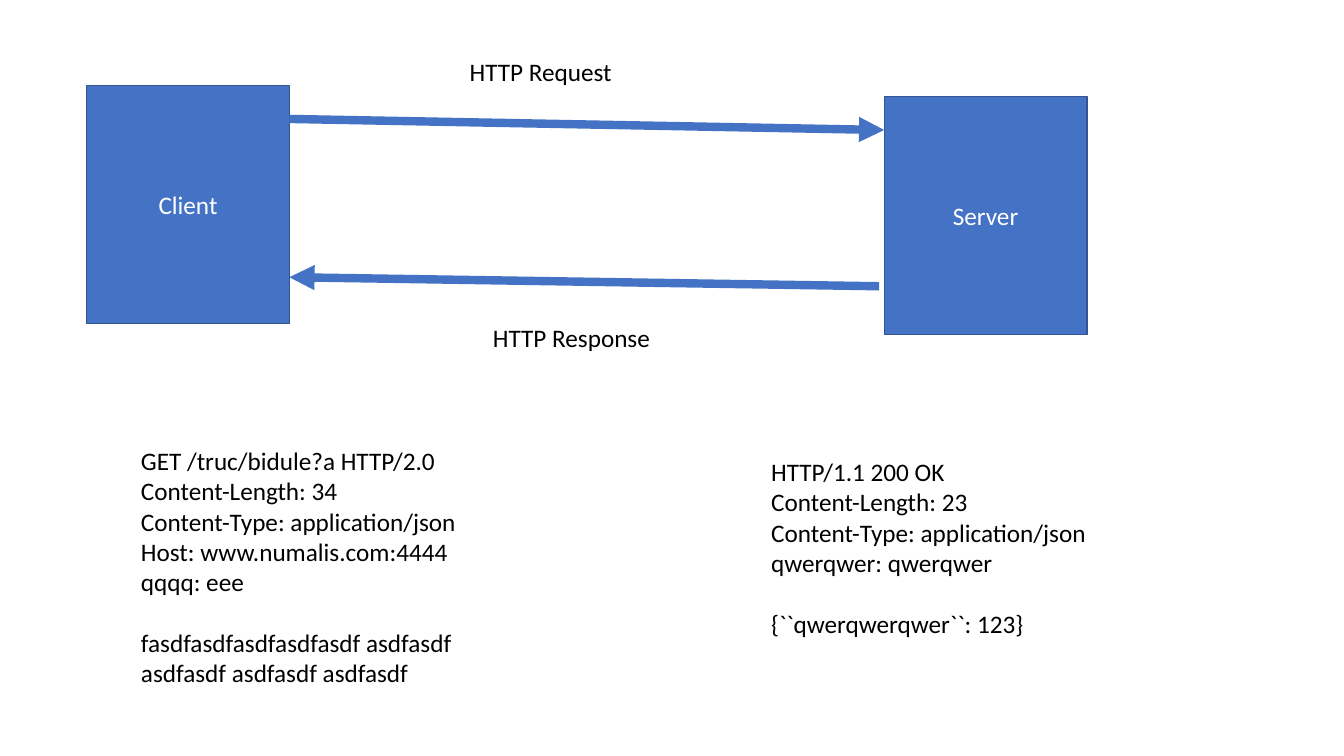
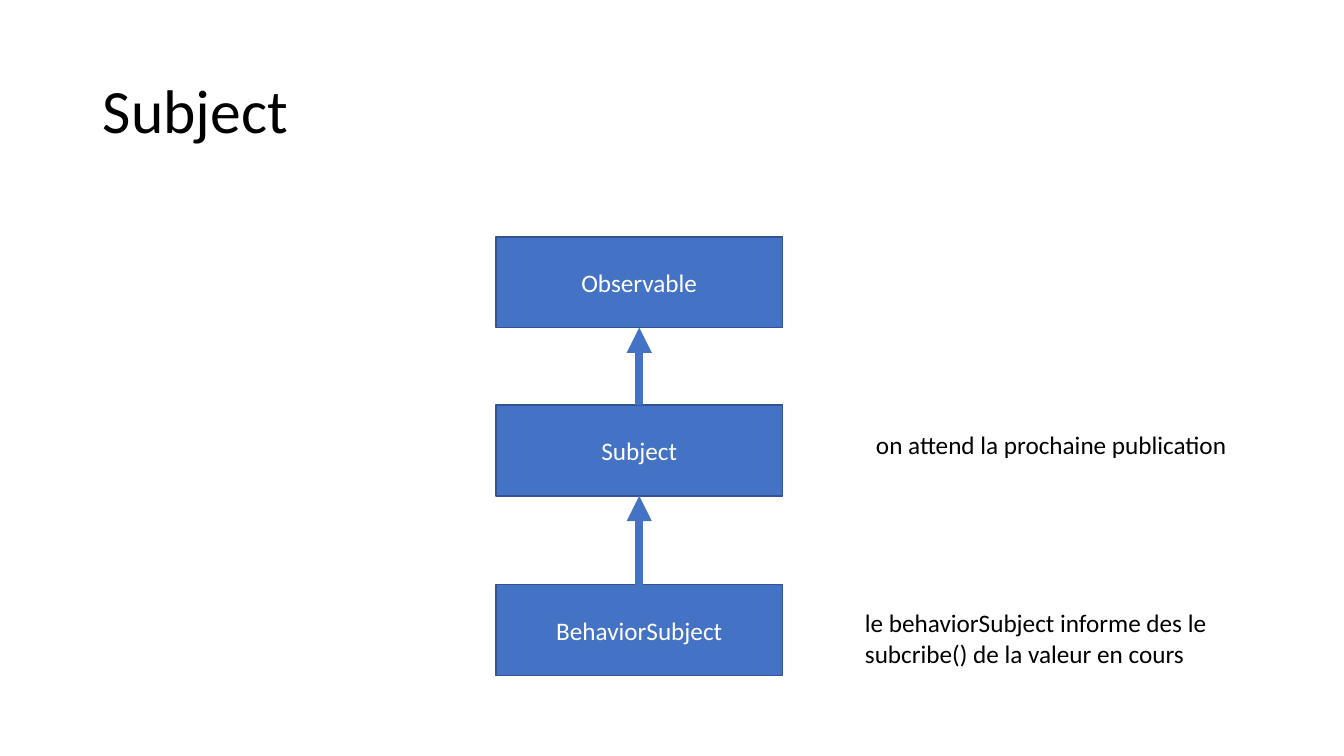
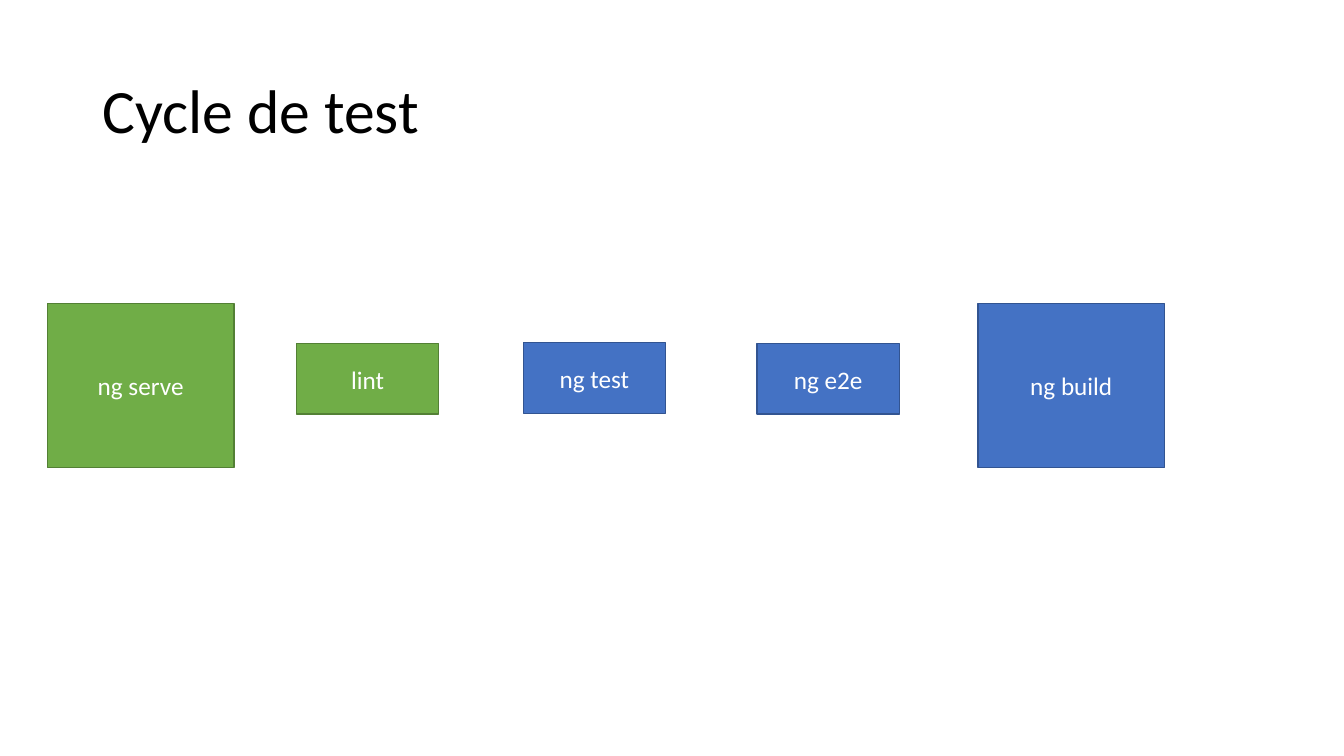
from lxml import etree
from pptx import Presentation
from pptx.dml.color import RGBColor
from pptx.enum.shapes import MSO_CONNECTOR, MSO_SHAPE
from pptx.enum.text import MSO_ANCHOR, MSO_AUTO_SIZE, PP_ALIGN
from pptx.oxml.ns import qn
from pptx.util import Inches, Pt

RECTANGLE = MSO_SHAPE.RECTANGLE
STRAIGHT = MSO_CONNECTOR.STRAIGHT
MIDDLE = MSO_ANCHOR.MIDDLE
LEFT, CENTER = PP_ALIGN.LEFT, PP_ALIGN.CENTER
FIXED, GROW = MSO_AUTO_SIZE.NONE, MSO_AUTO_SIZE.SHAPE_TO_FIT_TEXT
TOP_SITE, BOTTOM_SITE = 0, 2

FONT = "Calibri"
BLACK, WHITE = "000000", "FFFFFF"
BLUE = ("4472C4", "325491")
GREEN = ("70AD47", "538035")
TITLE_ONLY, BLANK = 5, 6


def color(value):
    return RGBColor.from_string(value)


class Deck:
    def __init__(self):
        self.prs = Presentation()
        self.prs.slide_width = Inches(13.33)
        self.prs.slide_height = Inches(7.5)
        self.slide = None

    def new_slide(self, title=None):
        layout = TITLE_ONLY if title else BLANK
        self.slide = self.prs.slides.add_slide(self.prs.slide_layouts[layout])
        if title:
            heading = self.slide.shapes.title
            heading.left, heading.top = Inches(0.92), Inches(0.4)
            heading.width, heading.height = Inches(11.5), Inches(1.45)
            frame = heading.text_frame
            frame.auto_size = FIXED
            frame.vertical_anchor = MIDDLE
            paragraph = frame.paragraphs[0]
            paragraph.line_spacing = 0.9
            self.styled_run(paragraph, title, BLACK, LEFT, 44)

    def styled_run(self, paragraph, text, ink, align, size=18):
        paragraph.alignment = align
        run = paragraph.add_run()
        run.text = text
        run.font.name = FONT
        run.font.size = Pt(size)
        run.font.color.rgb = color(ink)

    def box(self, label, left, top, width, height, palette=BLUE):
        fill, outline = palette
        shape = self.slide.shapes.add_shape(
            RECTANGLE, Inches(left), Inches(top), Inches(width), Inches(height))
        shape.shadow.inherit = False
        shape.fill.solid()
        shape.fill.fore_color.rgb = color(fill)
        shape.line.color.rgb = color(outline)
        shape.line.width = Pt(1)
        shape.text_frame.vertical_anchor = MIDDLE
        self.styled_run(shape.text_frame.paragraphs[0], label, WHITE, CENTER)
        return shape

    def text(self, blocks, left, top, width, height, wrap=False):
        area = self.slide.shapes.add_textbox(
            Inches(left), Inches(top), Inches(width), Inches(height))
        frame = area.text_frame
        frame.word_wrap = wrap
        frame.auto_size = GROW
        paragraph = None
        for block in blocks:
            for index, line in enumerate(block):
                first = paragraph is None
                paragraph = frame.paragraphs[0] if first else frame.add_paragraph()
                if index == 0 and not first:
                    paragraph.space_before = Pt(22)
                self.styled_run(paragraph, line, BLACK, LEFT)

    def arrow(self, x1, y1, x2, y2):
        connector = self.slide.shapes.add_connector(
            STRAIGHT, Inches(x1), Inches(y1), Inches(x2), Inches(y2))
        connector.line.color.rgb = color(BLUE[0])
        connector.line.width = Pt(6)
        properties = connector.element.spPr
        etree.SubElement(properties.find(qn("a:ln")), qn("a:tailEnd"), type="triangle")
        etree.SubElement(properties, qn("a:effectLst"))
        return connector

    def inherit_arrow(self, child, parent):
        connector = self.arrow(0, 0, 0, 0)
        connector.begin_connect(child, TOP_SITE)
        connector.end_connect(parent, BOTTOM_SITE)


def http_exchange(deck):
    deck.new_slide()
    for role, left, top in (("Client", 0.86, 0.85), ("Server", 8.77, 0.96)):
        deck.box(role, left, top, 2.01, 2.36)
    deck.arrow(2.87, 1.18, 8.77, 1.29)
    deck.arrow(8.72, 2.84, 2.87, 2.75)
    deck.text([["HTTP Request"]], 4.56, 0.51, 1.63, 0.4)
    deck.text([["HTTP Response"]], 4.79, 3.15, 1.78, 0.4)
    request = [
        ["GET /truc/bidule?a HTTP/2.0", "Content-Length: 34",
         "Content-Type: application/json", "Host: www.numalis.com:4444", "qqqq: eee"],
        ["fasdfasdfasdfasdfasdf asdfasdf", "asdfasdf asdfasdf asdfasdf"],
    ]
    response = [
        ["HTTP/1.1 200 OK", "Content-Length: 23",
         "Content-Type: application/json", "qwerqwer: qwerqwer"],
        ["{``qwerqwerqwer``: 123}"],
    ]
    deck.text(request, 1.3, 4.37, 3.37, 2.52)
    deck.text(response, 7.55, 4.48, 3.37, 1.92)


def subject_hierarchy(deck):
    deck.new_slide("Subject")
    parent = None
    for name, top in (("Observable", 2.35), ("Subject", 4.02), ("BehaviorSubject", 5.8)):
        child = deck.box(name, 4.92, top, 2.84, 0.9)
        if parent is not None:
            deck.inherit_arrow(child, parent)
        parent = child
    deck.text([["on attend la prochaine publication"]], 8.59, 4.21, 3.73, 0.4)
    deck.text([["le behaviorSubject informe des le subcribe() de la valeur en cours"]],
              8.48, 5.98, 4.39, 0.71, wrap=True)


def test_cycle(deck):
    deck.new_slide("Cycle de test")
    large, small = (1.85, 1.63), (1.41, 0.7)
    steps = (
        ("ng serve", 0.47, 3.01, large, GREEN),
        ("lint", 2.94, 3.41, small, GREEN),
        ("ng test", 5.19, 3.4, small, BLUE),
        ("ng e2e", 7.51, 3.41, small, BLUE),
        ("ng build", 9.7, 3.01, large, BLUE),
    )
    for command, left, top, size, palette in steps:
        deck.box(command, left, top, *size, palette)


def main():
    deck = Deck()
    http_exchange(deck)
    subject_hierarchy(deck)
    test_cycle(deck)
    deck.prs.save("out.pptx")


if __name__ == "__main__":
    main()
